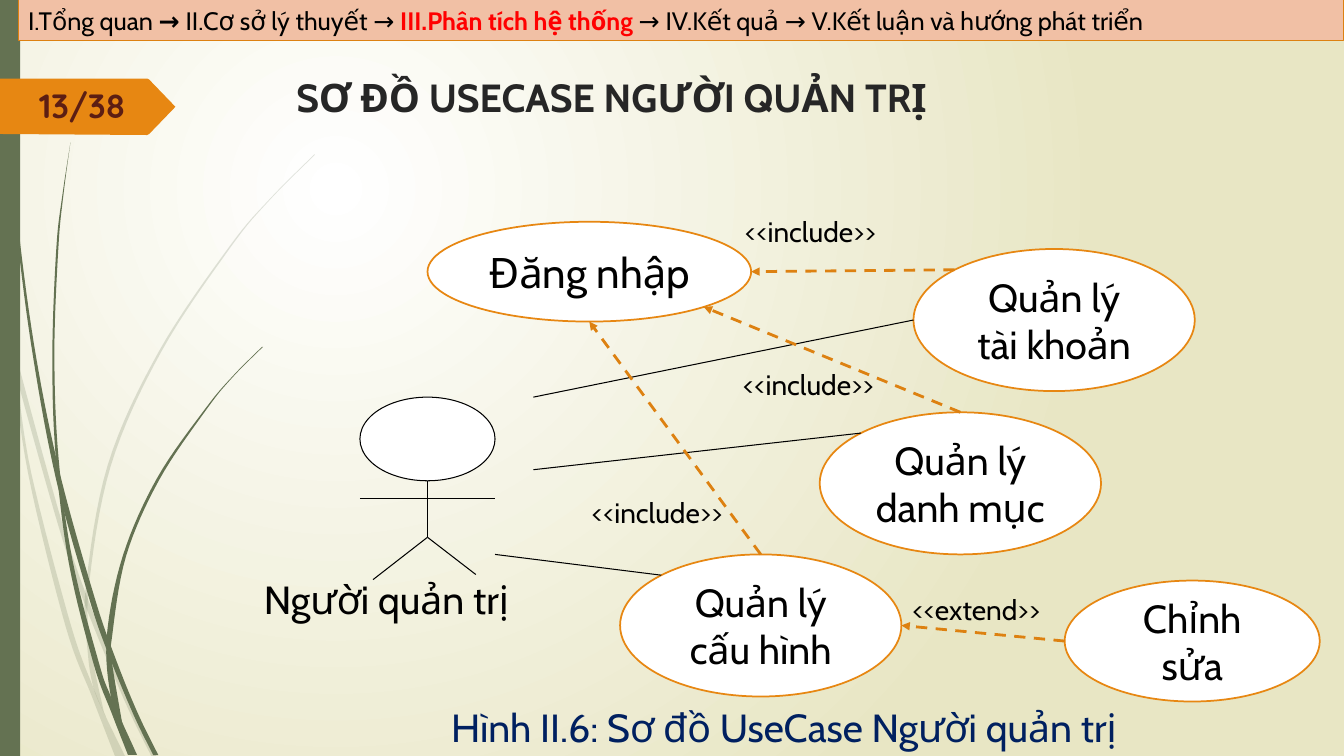
"""Build the administrator use case slide with python-pptx."""
from math import cos, radians, sin

from lxml.etree import SubElement
from pptx import Presentation
from pptx.dml.color import RGBColor
from pptx.enum.dml import MSO_LINE
from pptx.enum.shapes import MSO_CONNECTOR, MSO_SHAPE
from pptx.enum.text import MSO_ANCHOR, PP_ALIGN
from pptx.oxml.ns import qn
from pptx.util import Inches, Pt

W, H = Inches(13.33), Inches(7.5)
COLS, ROWS = 13.33, 7.5
GREEN, ORANGE, DASH = "647252", "E78712", "DD8111"
BLACK, WHITE = "000000", "FFFFFF"

FAINT_BLADES = [
    ([(0, 2.82), (.1, 3.44), (.17, 3.76), (.58, 5.22), (.84, 5.99), (1.23, 6.94), (1.5, 7.5)],
     [(1.55, 7.5), (1.27, 6.92), (.92, 6.07), (.62, 5.2), (.14, 3.45), (0, 2.82)]),
    ([(.11, 3.5), (.28, 4.7), (.65, 6.21), (.92, 6.93), (1.14, 7.5)],
     [(1.24, 7.5), (1.05, 7.11), (.93, 6.83), (.7, 6.19), (.31, 4.69), (.17, 3.76)]),
    ([(3.12, 1.53), (2.68, 1.97), (2.28, 2.44), (1.58, 3.48), (1.07, 4.61), (.85, 5.84),
      (.87, 6.46), (.93, 6.83), (1.05, 7.11)],
     [(1.03, 7.06), (.91, 6.46), (.88, 5.84), (1.1, 4.62), (1.6, 3.49), (2.29, 2.45),
      (2.68, 1.98), (3.12, 1.54)]),
]
DARK_BLADES = [
    ([(.03, 0), (.07, 1.1), (.17, 2.33), (.33, 3.55), (.56, 4.77), (.88, 5.92), (1.06, 6.45),
      (1.32, 7.08), (1.52, 7.49)],
     [(1.57, 7.49), (1.36, 7.06), (1.13, 6.49), (.93, 5.9), (.6, 4.72), (.36, 3.55),
      (.19, 2.32), (.08, 1.09), (.04, 0)]),
    ([(.7, 1.41), (.62, 1.93), (.56, 2.45), (.52, 3.49), (.55, 4.49), (.68, 5.57), (.93, 6.59),
      (1.11, 7.08), (1.27, 7.49)],
     [(1.36, 7.49), (1.1, 6.91), (.98, 6.57), (.72, 5.56), (.58, 4.53), (.54, 3.49),
      (.58, 2.45), (.63, 1.93), (.7, 1.41)]),
    ([(2.6, 3.44), (2.31, 3.73), (2.04, 4.05), (1.56, 4.74), (1.22, 5.51), (1.06, 6.31),
      (1.1, 6.91), (1.22, 7.19)],
     [(1.21, 7.16), (1.11, 6.56), (1.11, 6.33), (1.25, 5.52), (1.58, 4.76), (2.05, 4.06),
      (2.31, 3.74), (2.61, 3.44)]),
]
PAGE_TAG = [(0, .78), (1.46, .78), (1.48, .79), (1.74, 1.06), (1.48, 1.33), (1.46, 1.34), (0, 1.33)]


def rgb(value):
    """Turn a hex string into a colour."""
    return RGBColor.from_string(value)


def at(x, y):
    """Turn columns and rows into slide lengths."""
    return round(W * x / COLS), round(H * y / ROWS)


def set_background(s, inner, outer):
    """Fill the background with a circular gradient."""
    fill = s.background.fill
    fill.gradient()
    for stop, color in zip(fill.gradient_stops, (inner, outer)):
        stop.color.rgb = rgb(color)
    grad = s.element.find(".//" + qn("a:gradFill"))
    grad.remove(grad.find(qn("a:lin")))
    circle = SubElement(grad, qn("a:path"), {"path": "circle"})
    SubElement(circle, qn("a:fillToRect"), dict(l="50000", t="50000", r="100000", b="100000"))


def paint(sp, fill, line=None, width=0.75):
    """Give a shape a flat fill and an optional outline."""
    sp.shadow.inherit = False
    sp.fill.solid()
    sp.fill.fore_color.rgb = rgb(fill)
    if line:
        sp.line.color.rgb = rgb(line)
        sp.line.width = Pt(width)
    else:
        sp.line.fill.background()


def write(sp, runs, align=PP_ALIGN.LEFT, anchor=MSO_ANCHOR.TOP, after=0, **font):
    """Write one paragraph of (text, format) runs."""
    tf = sp.text_frame
    tf.word_wrap = True
    tf.vertical_anchor = anchor
    p = tf.paragraphs[0]
    p.alignment, p.space_after = align, Pt(after)
    for text, extra in runs:
        r = p.add_run()
        r.text = text
        look = {"name": "Cabin", "size": 28, "bold": False, "color": BLACK, **font, **extra}
        r.font.color.rgb = rgb(look.pop("color"))
        look["size"] = Pt(look["size"])
        for key, value in look.items():
            setattr(r.font, key, value)


def add_text(s, box, text, align=PP_ALIGN.LEFT, **font):
    """Add a text box."""
    write(s.shapes.add_textbox(*at(*box[:2]), *at(*box[2:])), [(text, {})], align, **font)


def add_preset(s, kind, box, *look):
    """Add a painted preset shape."""
    sp = s.shapes.add_shape(kind, *at(*box[:2]), *at(*box[2:]))
    paint(sp, *look)
    return sp


def add_use_case(s, box, text, size=28):
    """Add a use case ellipse and return its box."""
    sp = add_preset(s, MSO_SHAPE.OVAL, box, WHITE, ORANGE, 1.25)
    write(sp, [(text, {})], PP_ALIGN.CENTER, MSO_ANCHOR.MIDDLE, after=10, size=size)
    return box


def rim(box, angle):
    """Find the point of an ellipse at a clockwise angle from its right end."""
    x, y, w, h = box
    return x + w / 2 * (1 + cos(radians(angle))), y + h / 2 * (1 + sin(radians(angle)))


def add_line(s, start, end, color=BLACK, width=0.75):
    """Add a straight line without shadow."""
    cxn = s.shapes.add_connector(MSO_CONNECTOR.STRAIGHT, *at(*start), *at(*end))
    cxn.line.color.rgb = rgb(color)
    cxn.line.width = Pt(width)
    SubElement(cxn._element.spPr, qn("a:effectLst"))
    return cxn


def add_arrow(s, start, end):
    """Add a dashed dependency arrow."""
    cxn = add_line(s, start, end, DASH, 2)
    cxn.line.dash_style = MSO_LINE.DASH
    SubElement(cxn.line._get_or_add_ln(), qn("a:tailEnd"), {"type": "triangle"})


def smooth(points, steps=8):
    """Round a run of points with a Catmull-Rom curve."""
    pts = [points[0], *points, points[-1]]
    curve = [points[0]]
    for a, b, c, d in zip(pts, pts[1:], pts[2:], pts[3:]):
        for t in (i / steps for i in range(1, steps + 1)):
            curve.append(tuple(
                (2 * q + (r - p) * t + (2 * p - 5 * q + 4 * r - u) * t ** 2
                 + (3 * q - p - 3 * r + u) * t ** 3) / 2 for p, q, r, u in zip(a, b, c, d)))
    return curve


def add_outline(s, points, color, alpha=100):
    """Add a closed freeform."""
    builder = s.shapes.build_freeform(*at(*points[0]))
    builder.add_line_segments([at(*point) for point in points[1:]])
    sp = builder.convert_to_shape()
    paint(sp, color)
    if alpha < 100:
        tint = sp._element.spPr.find(".//" + qn("a:srgbClr"))
        SubElement(tint, qn("a:alpha"), {"val": str(alpha * 1000)})


def add_actor(s):
    """Draw the stick figure of the administrator."""
    add_preset(s, MSO_SHAPE.OVAL, (3.57, 3.94, 1.34, .83), WHITE, BLACK)
    neck, hip = (4.24, 4.77), (4.24, 5.33)
    for start, end in [(neck, hip), ((3.57, 4.95), (4.91, 4.95)),
                       (hip, (3.7, 5.75)), (hip, (4.72, 5.7))]:
        add_line(s, start, end)
    add_text(s, (2.52, 5.66, 3.2, .57), "Người quản trị")


def add_diagram(s):
    """Draw the actor, the use cases and their relations."""
    add_actor(s)
    login = add_use_case(s, (4.24, 2.2, 3.21, .99), "Đăng nhập", 30)
    account, catalog, config = [
        add_use_case(s, (x, y, 2.79, 1.41), "Quản lý " + name) for x, y, name in
        [(9.06, 2.47, "tài khoản"), (8.13, 4.09, "danh mục"), (6.15, 5.5, "cấu hình")]]
    edit = add_use_case(s, (10.56, 5.76, 2.53, 1.2), "Chỉnh sửa")
    for start, case, angle in [((5.29, 3.94), account, 180), ((5.29, 4.66), catalog, 225),
                               ((4.91, 5.5), config, 225)]:
        add_line(s, start, rim(case, angle))
    for source, leave, target, enter, x, y, label in [
            (config, 270, login, 90, 5.77, 4.87, "<<include>>"),
            (catalog, 270, login, 45, 7.27, 3.6, "<<include>>"),
            (account, 225, login, 0, 7.29, 2.08, "<<include>>"),
            (edit, 180, config, 0, 8.95, 5.83, "<<extend>>")]:
        add_arrow(s, rim(source, leave), rim(target, enter))
        add_text(s, (x, y, 1.9, .44), label, size=20)


def main():
    """Build and save the slide."""
    prs = Presentation()
    prs.slide_width, prs.slide_height = W, H
    s = prs.slides.add_slide(prs.slide_layouts[6])
    set_background(s, WHITE, "E8E6C4")
    for blades, alpha in [(FAINT_BLADES, 20), (DARK_BLADES, 100)]:
        for down, up in blades:
            add_outline(s, smooth(down) + smooth(up), GREEN, alpha)
    add_preset(s, MSO_SHAPE.RECTANGLE, (0, 0, .2, ROWS), GREEN)
    add_outline(s, PAGE_TAG, ORANGE)
    add_text(s, (.29, .79, 1.2, .5), "13/38", name="Quicksand", size=24, color="5C1E13", bold=True)
    add_text(s, (3.67, 6.93, 8.21, .57), "Hình II.6: Sơ đồ UseCase Người quản trị",
             PP_ALIGN.CENTER, color="002060")
    add_diagram(s)
    header = add_preset(s, MSO_SHAPE.RECTANGLE, (.18, 0, 13.15, .4), "F1C0A5", DASH)
    write(header, [("I.Tổng quan ", {}), ("→ ", {"bold": True}), ("II.Cơ sở lý thuyết → ", {}),
                   ("III.Phân tích hệ thống ", {"bold": True, "color": "FF0000"}),
                   ("→ IV.Kết quả → V.Kết luận và hướng phát triển", {})],
          anchor=MSO_ANCHOR.MIDDLE, size=18)
    add_text(s, (2.84, .68, 9.75, 1.4), "SƠ ĐỒ USECASE NGƯỜI QUẢN TRỊ", color="262626", bold=True)
    prs.save("out.pptx")


if __name__ == "__main__":
    main()
